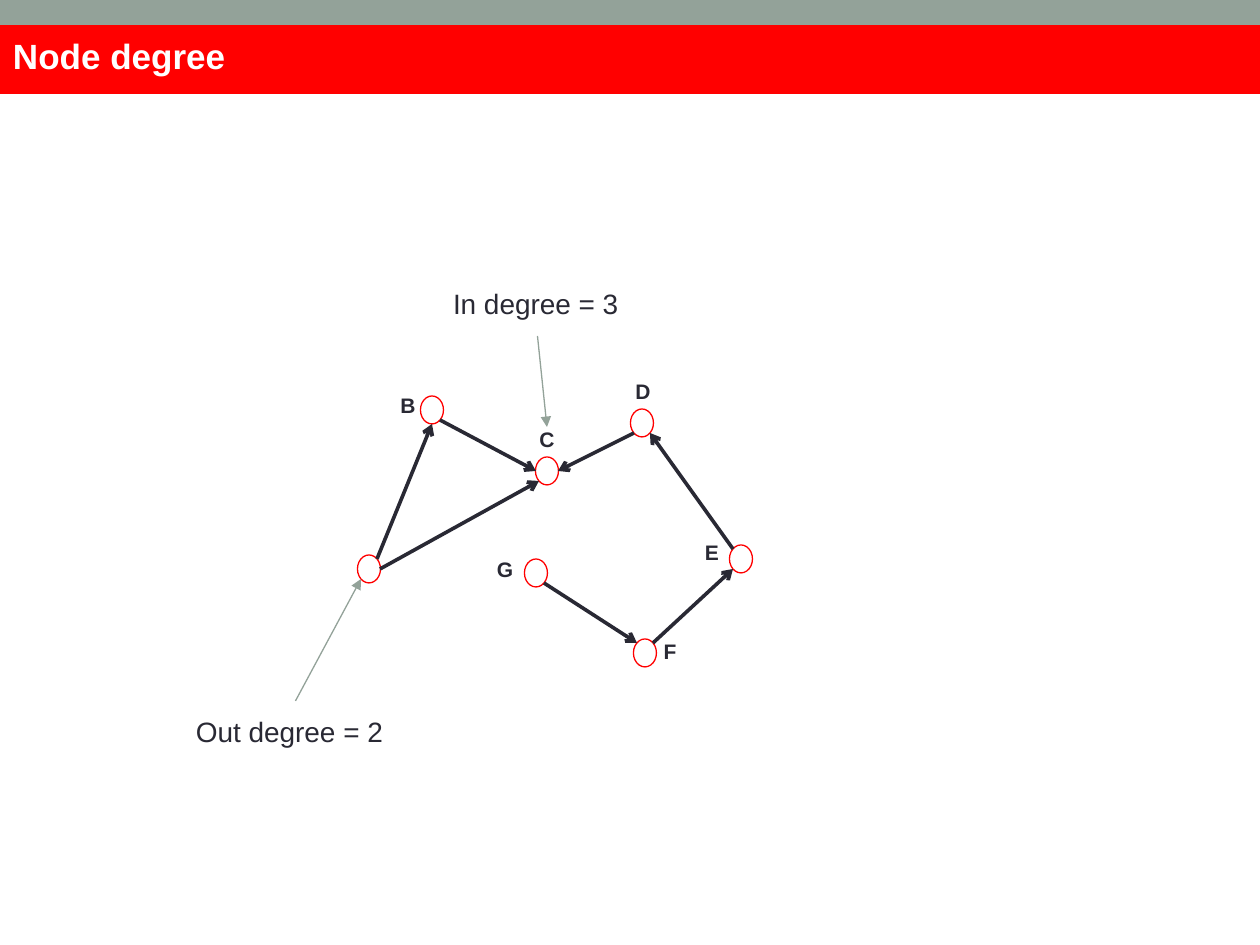
import pptx
import pptx.dml.color
import pptx.enum.shapes
import pptx.enum.text
import pptx.oxml
import pptx.oxml.ns
import pptx.util

EMU_PER_PX = 914400 // 126
COLOURS = {"band": "93A299", "title": "FF0000", "ink": "292934", "white": "FFFFFF"}
SHAPE = pptx.enum.shapes.MSO_SHAPE
ALIGN = pptx.enum.text.PP_ALIGN
ANCHOR = pptx.enum.text.MSO_ANCHOR

NODE_SIZE = (23, 28)
NODES = {
    "A": (369, 569), "B": (432, 410), "C": (547, 471), "D": (642, 423),
    "E": (741, 559), "F": (645, 653), "G": (536, 573),
}
LABELS = {
    "B": (389, 393), "C": (528, 427), "D": (624, 379),
    "E": (693, 540), "F": (651, 639), "G": (486, 557),
}
EDGES = [
    ("A", "NE", "B", "S"), ("B", "SE", "C", "W"), ("A", "E", "C", "SW"),
    ("D", "SW", "C", "E"), ("E", "NW", "D", "SE"), ("F", "NE", "E", "SW"),
    ("G", "SE", "F", "NW"),
]
COMPASS = {"N": (0, -1), "S": (0, 1), "E": (1, 0), "W": (-1, 0)}


def px(length):
    return pptx.util.Emu(int(length * EMU_PER_PX))


def rim_point(node, side):
    """Return the point of a node's ellipse that faces a compass side."""
    reach = 0.5 if len(side) == 1 else 0.5 * 0.71
    return [
        round(NODES[node][axis] + reach * NODE_SIZE[axis] * sum(COMPASS[c][axis] for c in side))
        for axis in (0, 1)
    ]


class Sketch:
    """Holds the style and the page being drawn."""

    font_name = "Arial"

    def __init__(self, deck):
        self.page = deck.slides.add_slide(deck.slide_layouts[5])

    def colour(self, name):
        return pptx.dml.color.RGBColor.from_string(COLOURS[name])

    def paint(self, fill, name):
        fill.solid()
        fill.fore_color.rgb = self.colour(name)

    def set_text(self, shape, text, size, colour="ink", bold=False, align=ALIGN.LEFT,
                 anchor=ANCHOR.TOP, left=0, top=0):
        frame = shape.text_frame
        layout = {
            "word_wrap": True, "auto_size": pptx.enum.text.MSO_AUTO_SIZE.NONE,
            "vertical_anchor": anchor, "margin_left": px(left), "margin_top": px(top),
            "margin_right": 0, "margin_bottom": 0,
        }
        for key, value in layout.items():
            setattr(frame, key, value)
        para = frame.paragraphs[0]
        para.alignment = align
        span = para.add_run()
        span.text = text
        style = {"name": self.font_name, "size": pptx.util.Pt(size), "bold": bold}
        for key, value in style.items():
            setattr(span.font, key, value)
        span.font.color.rgb = self.colour(colour)

    def title(self, text, x, y, width, height):
        box = self.page.shapes.title
        place = {"left": x, "top": y, "width": width, "height": height}
        for key, value in place.items():
            setattr(box, key, px(value))
        self.paint(box.fill, "title")
        self.set_text(box, text, 20, "white", bold=True, left=13, top=9)

    def band(self, x, y, width, height):
        """Draw a plain strip behind everything else."""
        strip = self.page.shapes.add_shape(SHAPE.RECTANGLE, px(x), px(y), px(width), px(height))
        strip.shadow.inherit = False
        self.paint(strip.fill, "band")
        strip.line.fill.background()
        strip._element.getparent().insert(2, strip._element)

    def node(self, centre):
        width, height = NODE_SIZE
        ring = self.page.shapes.add_shape(
            SHAPE.OVAL, px(centre[0] - width / 2), px(centre[1] - height / 2),
            px(width), px(height))
        ring.shadow.inherit = False
        ring.fill.background()
        ring.line.color.rgb = self.colour("title")
        ring.line.width = pptx.util.Pt(0.75)

    def text(self, text, x, y, width, height, size, **style):
        box = self.page.shapes.add_textbox(px(x), px(y), px(width), px(height))
        self.set_text(box, text, size, **style)
        return box

    def arrow(self, start, end, colour, weight, head):
        line = self.page.shapes.add_connector(
            pptx.enum.shapes.MSO_CONNECTOR.STRAIGHT, *map(px, (*start, *end)))
        line.line.color.rgb = self.colour(colour)
        line.line.width = pptx.util.Pt(weight)
        tip = pptx.oxml.parse_xml(
            f'<a:tailEnd {pptx.oxml.ns.nsdecls("a")} type="{head}"/>')
        line.line._get_or_add_ln().append(tip)
        line._element.spPr.append(
            pptx.oxml.parse_xml(f'<a:effectLst {pptx.oxml.ns.nsdecls("a")}/>'))
        return line

    def pointer(self, start, end):
        return self.arrow(start, end, "band", 0.75, "triangle")


def main():
    deck = pptx.Presentation()
    deck.slide_width, deck.slide_height = px(1260), px(945)
    sketch = Sketch(deck)
    sketch.band(0, 0, 1260, 50)
    sketch.title("Node degree", 0, 25, 1260, 69)

    for centre in NODES.values():
        sketch.node(centre)
    for source, source_side, target, target_side in EDGES:
        sketch.arrow(rim_point(source, source_side), rim_point(target, target_side),
                     "ink", 2.08, "arrow")
    labels = {
        name: sketch.text(name, *corner, 38, 25, 12, bold=True,
                          align=ALIGN.CENTER, anchor=ANCHOR.MIDDLE)
        for name, corner in LABELS.items()
    }

    in_note = sketch.text("In degree = 3", 440, 273, 195, 63, 16, left=13, top=14)
    in_pointer = sketch.pointer((538, 336), (547, 427))
    in_pointer.begin_connect(in_note, 2)
    in_pointer.end_connect(labels["C"], 0)

    out_note = sketch.text("Out degree = 2", 183, 701, 225, 63, 16, left=13, top=14)
    out_pointer = sketch.pointer((296, 701), rim_point("A", "SW"))
    out_pointer.begin_connect(out_note, 0)

    deck.save("out.pptx")


if __name__ == "__main__":
    main()
